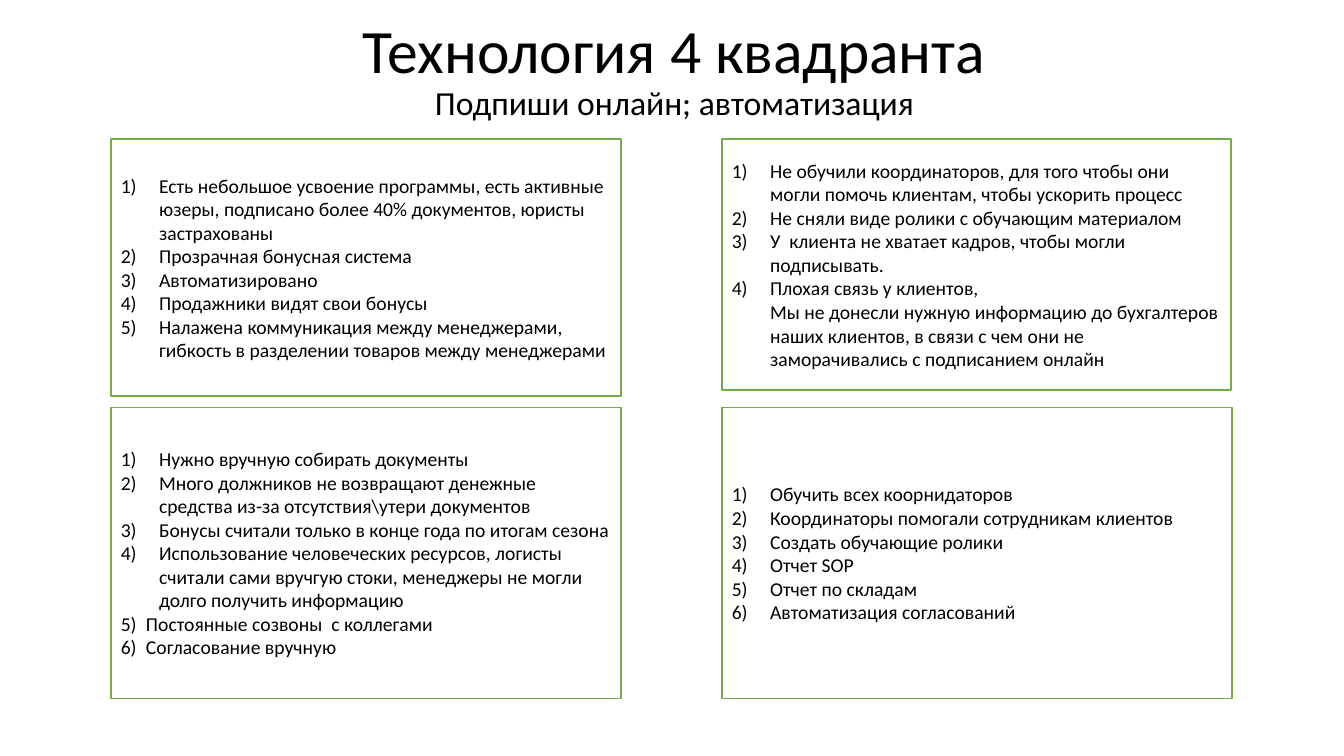
from lxml import etree
from pptx import Presentation
from pptx.dml.color import RGBColor
from pptx.enum import shapes, text
from pptx.oxml.ns import qn
from pptx.util import Inches, Pt

BLACK = RGBColor(0x00, 0x00, 0x00)
WHITE = RGBColor(0xFF, 0xFF, 0xFF)
GREEN = RGBColor(0x70, 0xAD, 0x47)
FONT = "Calibri"

LEFT, RIGHT = 1.1, 7.16
TOP, BOTTOM = 1.38, 4.04
HANGING, NARROW_HANGING = 0.38, 0.25

STRENGTHS = [
    "Есть небольшое усвоение программы, есть активные юзеры, подписано более 40% документов, юристы застрахованы",
    "Прозрачная бонусная система",
    "Автоматизировано",
    "Продажники видят свои бонусы",
    "Налажена коммуникация между менеджерами, гибкость в разделении товаров между менеджерами",
]
WEAKNESSES = [
    "Не обучили координаторов, для того чтобы они могли помочь клиентам, чтобы ускорить процесс",
    "Не сняли виде ролики с обучающим материалом",
    "У  клиента не хватает кадров, чтобы могли подписывать.",
    "Плохая связь у клиентов,\nМы не донесли нужную информацию до бухгалтеров наших клиентов, "
    "в связи с чем они не заморачивались с подписанием онлайн",
]
PAST_PROBLEMS = [
    "Нужно вручную собирать документы",
    "Много должников не возвращают денежные средства из-за отсутствия\\утери документов",
    "Бонусы считали только в конце года по итогам сезона",
    "Использование человеческих ресурсов, логисты считали сами вручгую стоки, "
    "менеджеры не могли долго получить информацию",
    "Постоянные созвоны  с коллегами",
    "Согласование вручную",
]
NEXT_STEPS = [
    "Обучить всех коорнидаторов",
    "Координаторы помогали сотрудникам клиентов",
    "Создать обучающие ролики",
    "Отчет SOP",
    "Отчет по складам",
    "Автоматизация согласований",
]

# Position, size, items, number of closing items with the narrow indent
QUADRANTS = [
    (LEFT, TOP, 5.06, 2.55, STRENGTHS, 0),
    (RIGHT, TOP, 5.05, 2.49, WEAKNESSES, 0),
    (LEFT, BOTTOM, 5.06, 2.89, PAST_PROBLEMS, 2),
    (RIGHT, BOTTOM, 5.06, 2.89, NEXT_STEPS, 0),
]


def write_paragraph(frame, content, size, align, first=False, line_spacing=None):
    paragraph = frame.paragraphs[0] if first else frame.add_paragraph()
    paragraph.text = content
    paragraph.alignment = align
    if line_spacing:
        paragraph.line_spacing = line_spacing
    for run in paragraph.runs:
        run.font.name = FONT
        run.font.size = Pt(size)
        run.font.color.rgb = BLACK
    # A line break carries its own text size
    for line_break in paragraph._p.findall(qn("a:br")):
        etree.SubElement(line_break, qn("a:rPr"), sz=str(size * 100))
    return paragraph


def number_paragraph(paragraph, indent):
    properties = paragraph._p.get_or_add_pPr()
    properties.set("marL", str(Inches(indent)))
    properties.set("indent", str(-Inches(indent)))
    etree.SubElement(properties, qn("a:buFont"), typeface="+mj-lt")
    etree.SubElement(properties, qn("a:buAutoNum"), type="arabicParenR")


def add_quadrant(slide, left, top, width, height, items, narrow_count):
    shape = slide.shapes.add_shape(
        shapes.MSO_SHAPE.RECTANGLE, Inches(left), Inches(top), Inches(width), Inches(height))
    shape.shadow.inherit = False
    shape.fill.solid()
    shape.fill.fore_color.rgb = WHITE
    shape.line.color.rgb = GREEN
    shape.line.width = Pt(1)
    frame = shape.text_frame
    frame.word_wrap = True
    frame.vertical_anchor = text.MSO_ANCHOR.MIDDLE
    for index, item in enumerate(items):
        paragraph = write_paragraph(frame, item, 14, text.PP_ALIGN.LEFT, first=index == 0)
        is_narrow = index >= len(items) - narrow_count
        number_paragraph(paragraph, NARROW_HANGING if is_narrow else HANGING)


def add_heading(slide, title, subtitle):
    box = slide.shapes.add_textbox(Inches(0.96), Inches(0.15), Inches(11.46), Inches(0.66))
    frame = box.text_frame
    frame.word_wrap = True
    write_paragraph(frame, title, 44, text.PP_ALIGN.CENTER, first=True, line_spacing=0.9)
    write_paragraph(frame, subtitle, 24, text.PP_ALIGN.CENTER, line_spacing=0.9)


def main():
    presentation = Presentation()
    presentation.slide_width = Inches(13.33)
    presentation.slide_height = Inches(7.5)
    slide = presentation.slides.add_slide(presentation.slide_layouts[6])

    # Four quadrants
    for quadrant in QUADRANTS:
        add_quadrant(slide, *quadrant)

    # Title and subtitle
    add_heading(slide, "Технология 4 квадранта", "Подпиши онлайн; автоматизация")

    presentation.save("out.pptx")


if __name__ == "__main__":
    main()
